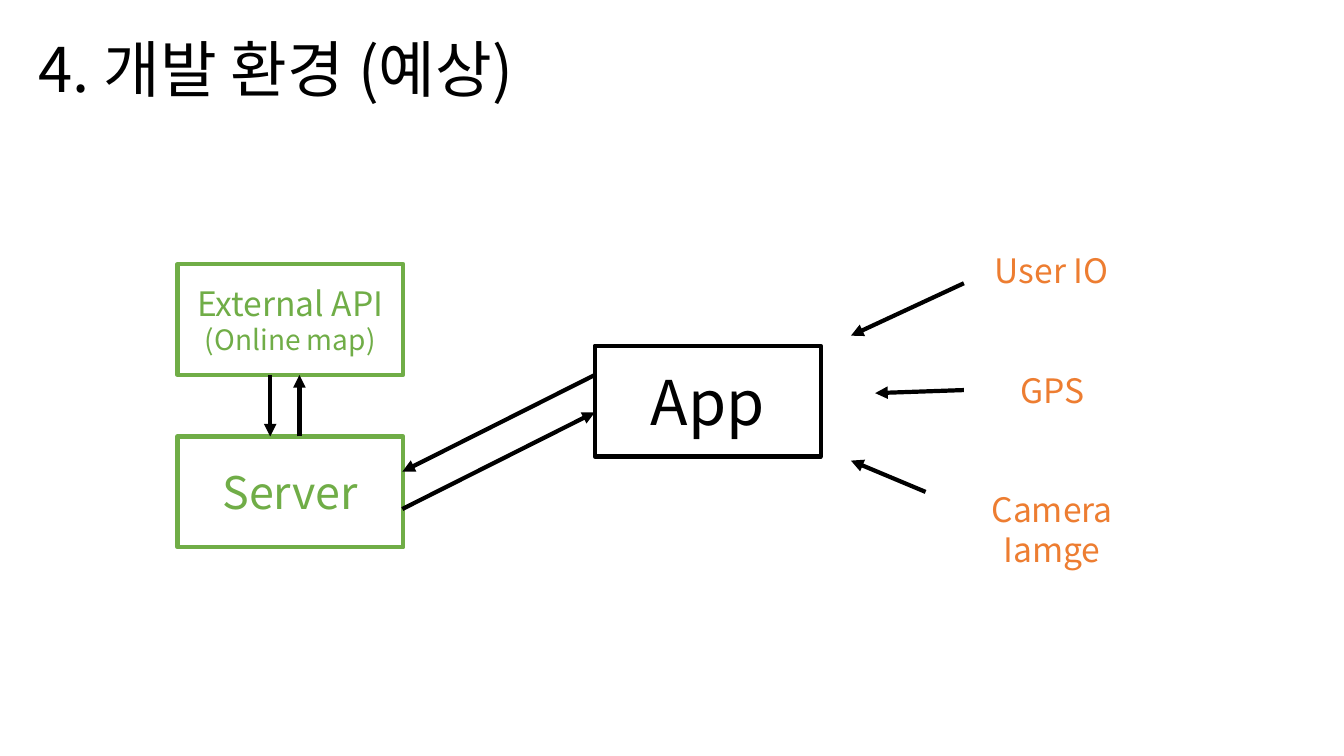
"""Build the slide that sketches the expected development environment."""
from dataclasses import dataclass

import lxml.etree
import pptx
import pptx.dml.color
import pptx.enum.shapes
import pptx.enum.text
import pptx.oxml.ns
import pptx.util

Inches = pptx.util.Inches
qn = pptx.oxml.ns.qn
ALIGN = pptx.enum.text.PP_ALIGN
ANCHOR = pptx.enum.text.MSO_ANCHOR
AUTO_SIZE = pptx.enum.text.MSO_AUTO_SIZE

COLORS = {"ink": "000000", "backend": "70AD47", "input": "ED7D31", "paper": "FFFFFF"}
FONT = "Noto Sans CJK KR"
LINE_WIDTH = pptx.util.Pt(3)
BOX_WIDTH, BOX_HEIGHT = 2.24, 1.1
INPUT_HEIGHT = 0.5


@dataclass(frozen=True)
class Component:
    left: float
    top: float
    color: str
    lines: tuple[tuple[str, int], ...]


@dataclass(frozen=True)
class InputSource:
    left: float
    top: float
    width: float
    label: str
    wraps: bool = False


@dataclass(frozen=True)
class Flow:
    start: tuple[float, float]
    end: tuple[float, float]


COMPONENTS = (
    Component(1.76, 2.62, "backend", (("External API", 24), ("(Online map)", 20))),
    Component(1.76, 4.33, "backend", (("Server", 32),)),
    Component(5.9, 3.43, "ink", (("App", 44),)),
)
INPUT_SOURCES = (
    InputSource(9.76, 2.43, 1.34, "User IO"),
    InputSource(10.01, 3.62, 0.85, "GPS"),
    InputSource(9.29, 4.8, 2.29, "Camera Iamge", wraps=True),
)
FLOWS = (
    Flow((2.68, 3.72), (2.68, 4.33)),
    Flow((2.97, 4.33), (2.97, 3.72)),
    Flow((5.9, 3.72), (3.99, 4.68)),
    Flow((3.99, 5.05), (5.9, 4.09)),
    Flow((9.56, 2.81), (8.44, 3.33)),
    Flow((9.56, 3.87), (8.68, 3.9)),
    Flow((9.18, 4.88), (8.44, 4.57)),
)


def rgb(color: str) -> pptx.dml.color.RGBColor:
    """Return the named colour."""
    return pptx.dml.color.RGBColor.from_string(COLORS[color])


def apply_format(target: object, values: dict[str, object]) -> None:
    """Set each attribute of the target from the format values."""
    for attribute, value in values.items():
        setattr(target, attribute, value)


def write_lines(frame: pptx.text.text.TextFrame, lines: tuple[tuple[str, int], ...],
                color: str, alignment: ALIGN) -> None:
    """Write one paragraph for each pair of wording and size."""
    for index, (wording, size) in enumerate(lines):
        paragraph = frame.add_paragraph() if index else frame.paragraphs[0]
        paragraph.alignment = alignment
        run = paragraph.add_run()
        run.text = wording
        apply_format(run.font, {"name": FONT, "size": pptx.util.Pt(size)})
        run.font.color.rgb = rgb(color)
        lxml.etree.SubElement(run.font._element, qn("a:ea"), typeface=FONT)


def draw_title(slide: pptx.slide.Slide) -> None:
    """Place and format the title placeholder."""
    title = slide.shapes.title
    apply_format(title, {"left": Inches(0.28), "top": Inches(0.27),
                         "width": Inches(11.5), "height": Inches(0.89)})
    apply_format(title.text_frame, {"vertical_anchor": ANCHOR.MIDDLE,
                                    "auto_size": AUTO_SIZE.NONE, "word_wrap": True})
    write_lines(title.text_frame, (("4. 개발 환경 (예상)", 44),), "ink", ALIGN.LEFT)
    title.text_frame.paragraphs[0].line_spacing = 0.9


def draw_component(slide: pptx.slide.Slide, component: Component) -> None:
    """Draw an outlined system component."""
    box = slide.shapes.add_shape(
        pptx.enum.shapes.MSO_SHAPE.RECTANGLE, Inches(component.left),
        Inches(component.top), Inches(BOX_WIDTH), Inches(BOX_HEIGHT))
    box.shadow.inherit = False
    box.fill.solid()
    box.fill.fore_color.rgb = rgb("paper")
    box.line.color.rgb = rgb(component.color)
    box.line.width = LINE_WIDTH
    box.text_frame.vertical_anchor = ANCHOR.MIDDLE
    write_lines(box.text_frame, component.lines, component.color, ALIGN.CENTER)


def draw_input_source(slide: pptx.slide.Slide, source: InputSource) -> None:
    """Write the label of an input to the app."""
    label = slide.shapes.add_textbox(Inches(source.left), Inches(source.top),
                                     Inches(source.width), Inches(INPUT_HEIGHT))
    apply_format(label.text_frame, {"word_wrap": source.wraps,
                                    "auto_size": AUTO_SIZE.SHAPE_TO_FIT_TEXT})
    write_lines(label.text_frame, ((source.label, 24),), "input", ALIGN.CENTER)


def draw_flow(slide: pptx.slide.Slide, flow: Flow) -> None:
    """Draw an arrow along a data flow."""
    arrow = slide.shapes.add_connector(
        pptx.enum.shapes.MSO_CONNECTOR.STRAIGHT,
        *map(Inches, flow.start), *map(Inches, flow.end))
    arrow.line.color.rgb = rgb("ink")
    arrow.line.width = LINE_WIDTH
    lxml.etree.SubElement(arrow.line._get_or_add_ln(), qn("a:tailEnd"), type="triangle")
    lxml.etree.SubElement(arrow._element.spPr, qn("a:effectLst"))


def main() -> None:
    """Build and save the presentation."""
    deck = pptx.Presentation()
    apply_format(deck, {"slide_width": Inches(13.33), "slide_height": Inches(7.5)})
    slide = deck.slides.add_slide(deck.slide_layouts[5])
    draw_title(slide)
    for component in COMPONENTS:
        draw_component(slide, component)
    for source in INPUT_SOURCES:
        draw_input_source(slide, source)
    for flow in FLOWS:
        draw_flow(slide, flow)
    deck.save("out.pptx")


if __name__ == "__main__":
    main()
